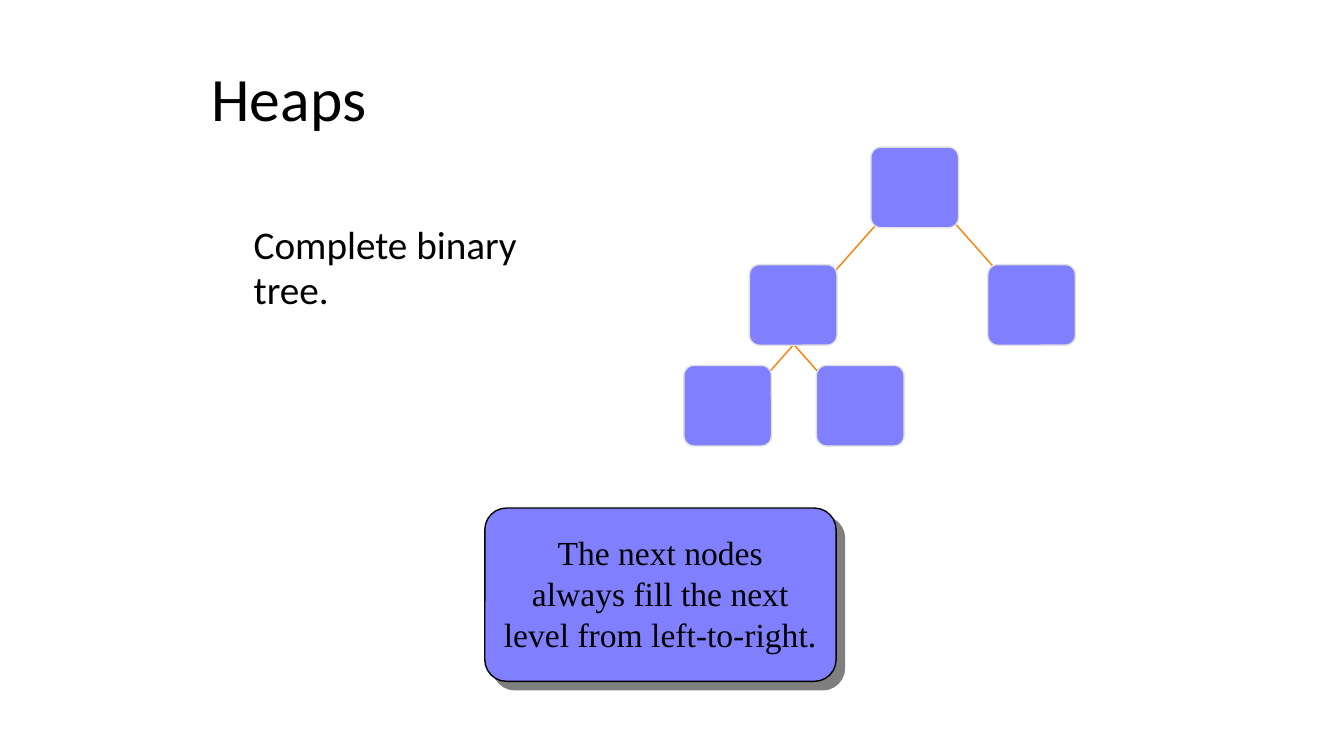
from dataclasses import dataclass
from lxml import etree
from pptx import Presentation
from pptx import util as u
from pptx.dml.color import RGBColor
from pptx.enum import shapes as s, text as t
from pptx.oxml.ns import qn


@dataclass(frozen=True)
class Theme:
    ink: str = "000000"
    fill: str = "8080FF"
    rim: str = "E0E0E0"
    edge: str = "FF8000"
    sans: str = "Calibri"
    serif: str = "Times New Roman"
    title: float = 44
    body: float = 28
    note: float = 24


@dataclass(frozen=True)
class Box:
    left: float
    top: float
    wide: float
    high: float

    def place(self) -> list:
        return [u.Pt(n) for n in (self.left, self.top, self.wide, self.high)]


@dataclass(frozen=True)
class Edge:
    left: float
    top: float
    side: int  # -1 runs down to the left, 1 to the right


@dataclass(frozen=True)
class Label:
    box: Box
    lines: list
    face: str
    size: float
    anchor: t.MSO_ANCHOR
    align: t.PP_ALIGN
    first: float  # line spacing of the first paragraph


THEME = Theme()
NODE = (62.6, 57.6)
RUN, DROP = 44.6, 50.4

# Tree, level by level
EDGES = [Edge(626.4, 159.8, -1), Edge(679.2, 156.2, 1),
         Edge(579.6, 231.8, -1), Edge(554.4, 231.8, 1)]
LEVELS = {105.1: [622.1], 189: [535.3, 705.6], 261: [488.5, 583.2]}

# Title, body and note
LABELS = [
    Label(Box(144, 26.8, 612, 90), ["Heaps"], THEME.sans, THEME.title,
          t.MSO_ANCHOR.MIDDLE, t.PP_ALIGN.LEFT, 0.95),
    Label(Box(174.2, 156.2, 208.8, 324), ["Complete binary tree."], THEME.sans,
          THEME.body, t.MSO_ANCHOR.TOP, t.PP_ALIGN.LEFT, 0.95),
    Label(Box(351.2, 367.9, 240.7, 113.8),
          ["The next nodes", "always fill the next", "level from left-to-right."],
          THEME.serif, THEME.note, t.MSO_ANCHOR.MIDDLE, t.PP_ALIGN.CENTER, 0.93),
]


def color(code: str) -> RGBColor:
    return RGBColor.from_string(code)


def apply(target, form: dict) -> None:
    for name, value in form.items():
        setattr(target, name, value)


def write(slide, label: Label) -> None:
    frame = slide.shapes.add_textbox(*label.box.place()).text_frame
    apply(frame, {"word_wrap": True, "vertical_anchor": label.anchor,
                  "text": "\n".join(label.lines)})
    for item in frame.paragraphs:
        item.alignment = label.align
        apply(item.font, {"name": label.face, "size": u.Pt(label.size)})
        item.font.color.rgb = color(THEME.ink)
    frame.paragraphs[0].line_spacing = label.first


def panel(slide, box: Box, rim: str, curve: float):
    shape = slide.shapes.add_shape(s.MSO_SHAPE.ROUNDED_RECTANGLE, *box.place())
    shape.adjustments[0] = curve
    shape.shadow.inherit = False
    shape.fill.solid()
    shape.fill.fore_color.rgb = color(THEME.fill)
    shape.line.color.rgb = color(rim)
    shape.line.width = u.Pt(1)
    return shape


def link(slide, edge: Edge) -> None:
    ends = (edge.left, edge.top, edge.left + edge.side * RUN, edge.top + DROP)
    line = slide.shapes.add_connector(s.MSO_CONNECTOR.STRAIGHT, *map(u.Pt, ends))
    line.line.color.rgb = color(THEME.edge)
    line.line.width = u.Pt(1)
    etree.SubElement(line._element.spPr, qn("a:effectLst"))


def shade(shape) -> None:
    effect = shape._element.spPr.find(qn("a:effectLst"))
    outer = etree.SubElement(effect, qn("a:outerShdw"), blurRad="0",
                             dist=str(int(u.Pt(8.5))), dir="2700000",
                             algn="ctr", rotWithShape="0")
    tint = etree.SubElement(outer, qn("a:srgbClr"), val=THEME.ink)
    etree.SubElement(tint, qn("a:alpha"), val="50000")


def main() -> None:
    deck = Presentation()
    apply(deck, {"slide_width": u.Pt(960), "slide_height": u.Pt(540)})
    slide = deck.slides.add_slide(deck.slide_layouts[6])

    # Edges lie behind the nodes
    for edge in EDGES:
        link(slide, edge)
    for top, row in LEVELS.items():
        for left in row:
            panel(slide, Box(left, top, *NODE), THEME.rim, 0.126)

    # Note panel with a hard shadow, then all text
    shade(panel(slide, Box(346.3, 362.9, 250.9, 123.8), THEME.ink, 0.125))
    for label in LABELS:
        write(slide, label)

    deck.save("out.pptx")


if __name__ == "__main__":
    main()
